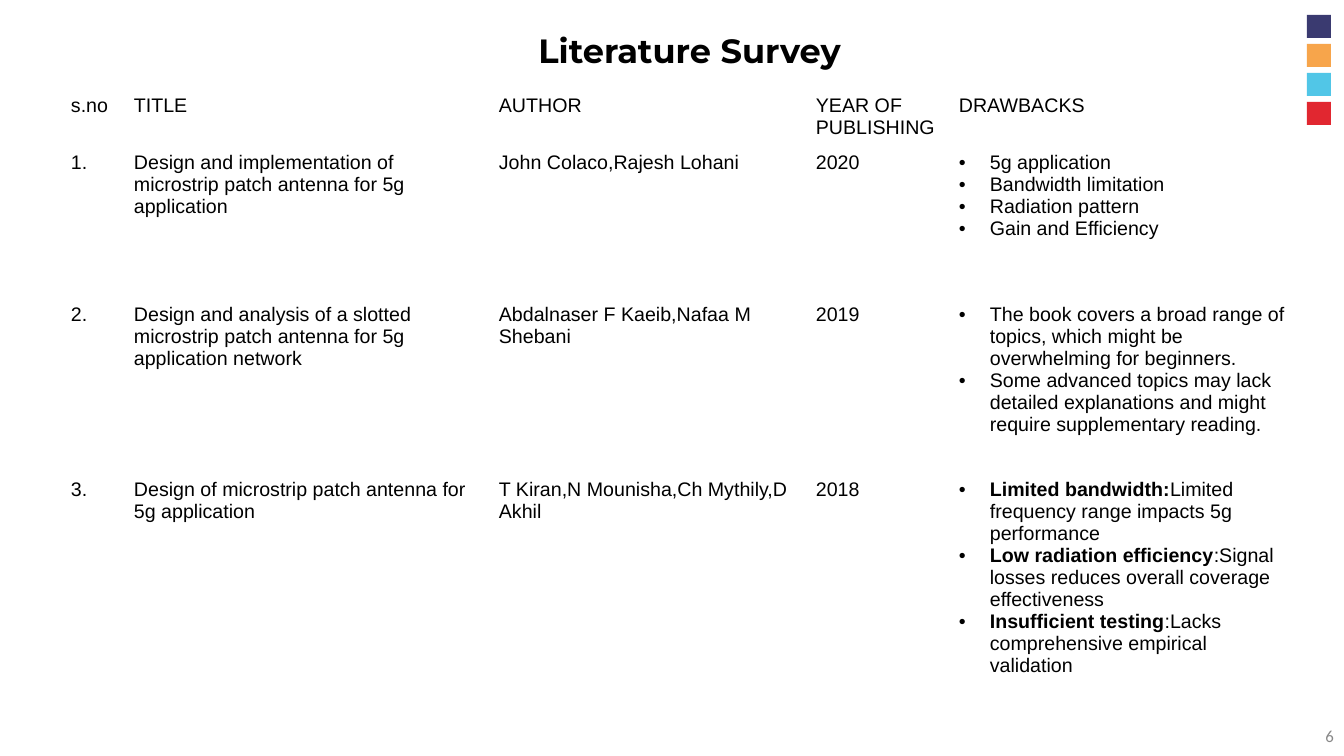
from lxml import etree
from pptx import Presentation, util as u
from pptx.dml.color import RGBColor
from pptx.enum import shapes, text
from pptx.oxml.ns import qn

PX = 914400 / 100.8  # EMU in one px


def emu(px):
    return u.Emu(round(px * PX))


def rgb(value):
    return RGBColor.from_string(value)


class Deck:
    """Holds the style and the current slide."""

    BODY, HEADING, NUMBER = "Arial", "Montserrat", "Calibri"
    INK, GREY = "000000", "888888"
    INDENT = 31

    def __init__(self, width, height):
        self.prs = Presentation()
        self.prs.slide_width, self.prs.slide_height = emu(width), emu(height)
        self.s = self.prs.slides.add_slide(self.prs.slide_layouts[5])

    def place(self, sp, x, y, w, h):
        sp.left, sp.top, sp.width, sp.height = map(emu, (x, y, w, h))

    def run(self, p, words, size, font, color, bold=False):
        r = p.add_run()
        r.text = words
        r.font.size, r.font.name, r.font.bold = u.Pt(size), font, bold
        r.font.color.rgb = rgb(color)

    def frame(self, tf, anchor):
        tf.word_wrap = True
        tf.auto_size = text.MSO_AUTO_SIZE.NONE
        tf.vertical_anchor = anchor
        tf.margin_left = tf.margin_right = emu(10)
        tf.margin_top = tf.margin_bottom = emu(5)

    def title(self, words, *box):
        sp = self.s.shapes.title
        self.place(sp, *box)
        self.frame(sp.text_frame, text.MSO_ANCHOR.TOP)
        p = sp.text_frame.paragraphs[0]
        p.alignment = text.PP_ALIGN.CENTER
        self.run(p, words, 24, self.HEADING, self.INK, True)

    def page_number(self, words, *box):
        sp = self.s.shapes.add_textbox(*map(emu, box))
        self.frame(sp.text_frame, text.MSO_ANCHOR.MIDDLE)
        p = sp.text_frame.paragraphs[0]
        p.alignment = text.PP_ALIGN.RIGHT
        self.run(p, words, 12, self.NUMBER, self.GREY)

    def square(self, color, *box):
        sp = self.s.shapes.add_shape(shapes.MSO_SHAPE.RECTANGLE, *map(emu, box))
        sp.shadow.inherit = False
        sp.fill.solid()
        sp.fill.fore_color.rgb = rgb(color)
        sp.line.fill.background()

    def bullet(self, p):
        pPr = p._p.get_or_add_pPr()
        pPr.set("marL", str(emu(self.INDENT)))
        pPr.set("indent", str(-emu(self.INDENT)))
        clr = etree.SubElement(pPr, qn("a:buClr"))
        etree.SubElement(clr, qn("a:srgbClr"), val=self.INK)
        etree.SubElement(pPr, qn("a:buFont"), typeface=self.BODY)
        etree.SubElement(pPr, qn("a:buChar"), char="•")

    def cell(self, cell, content):
        """A string is plain text; a list holds (bold, regular) bullets."""
        cell.fill.background()
        cell.margin_left = cell.margin_right = emu(10)
        cell.margin_top = cell.margin_bottom = emu(5)
        tf = cell.text_frame
        bulleted = isinstance(content, list)
        for i, parts in enumerate(content if bulleted else [("", content)]):
            p = tf.add_paragraph() if i else tf.paragraphs[0]
            if bulleted:
                self.bullet(p)
            for words, bold in zip(parts, (True, False)):
                if words:
                    self.run(p, words, 14, self.BODY, self.INK, bold)

    def table(self, x, y, widths, heights, rows):
        box = map(emu, (x, y, sum(widths), sum(heights)))
        tbl = self.s.shapes.add_table(len(rows), len(widths), *box).table
        tbl.first_row = tbl.horz_banding = False
        for col, w in zip(tbl.columns, widths):
            col.width = emu(w)
        for row, h, contents in zip(tbl.rows, heights, rows):
            row.height = emu(h)
            for cell, content in zip(row.cells, contents):
                self.cell(cell, content)


SURVEY = [
    ["s.no", "TITLE", "AUTHOR", "YEAR OF PUBLISHING", "DRAWBACKS"],
    ["1.", "Design and implementation of microstrip patch antenna for 5g application",
     "John Colaco,Rajesh Lohani", "2020",
     [("", "5g application"), ("", "Bandwidth limitation"),
      ("", "Radiation pattern"), ("", "Gain and Efficiency")]],
    ["2.", "Design and analysis of a slotted microstrip patch antenna for 5g application network",
     "Abdalnaser F Kaeib,Nafaa M Shebani", "2019",
     [("", "The book covers a broad range of topics, which might be "
           "overwhelming for beginners."),
      ("", "Some advanced topics may lack detailed explanations and might "
           "require supplementary reading.")]],
    ["3.", "Design of microstrip patch antenna for 5g application",
     "T Kiran,N Mounisha,Ch Mythily,D Akhil", "2018",
     [("Limited bandwidth:", "Limited frequency range impacts 5g performance"),
      ("Low radiation efficiency", ":Signal losses reduces overall coverage effectiveness"),
      ("Insufficient testing", ":Lacks comprehensive empirical validation")]],
]


def main():
    deck = Deck(1344, 756)

    # Colour squares in the corner
    for i, color in enumerate(("3A3A70", "F7A54B", "51C6E7", "E12730")):
        deck.square(color, 1307, 15 + 29 * i, 24, 23)

    # Title and page number
    deck.title("Literature Survey", 110, 25, 1159, 54)
    deck.page_number("6", 1041, 716, 303, 40)

    # Survey table
    deck.table(61, 90, (63, 365, 317, 143, 346), (57, 152, 175, 222), SURVEY)

    deck.prs.save("out.pptx")


if __name__ == "__main__":
    main()
